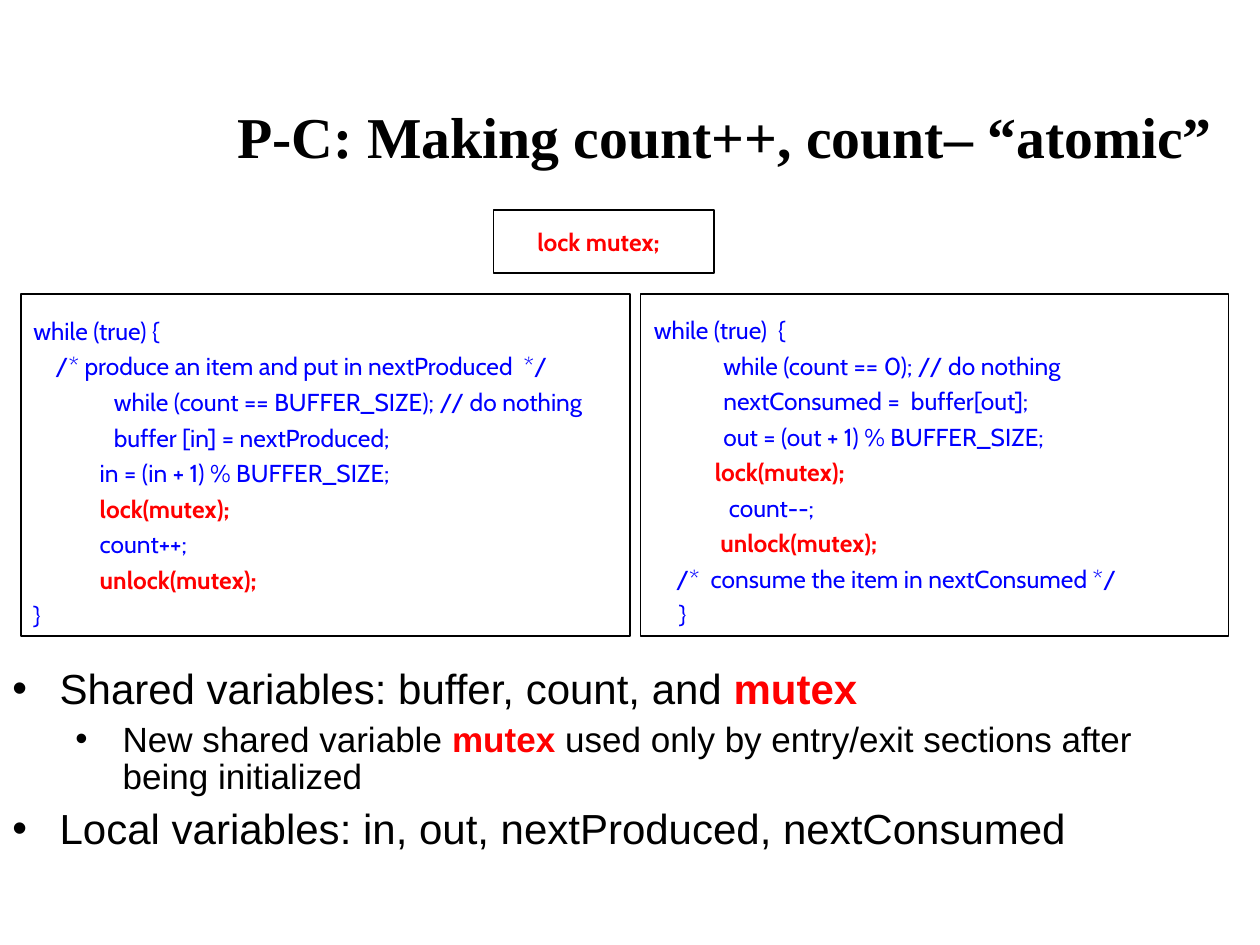
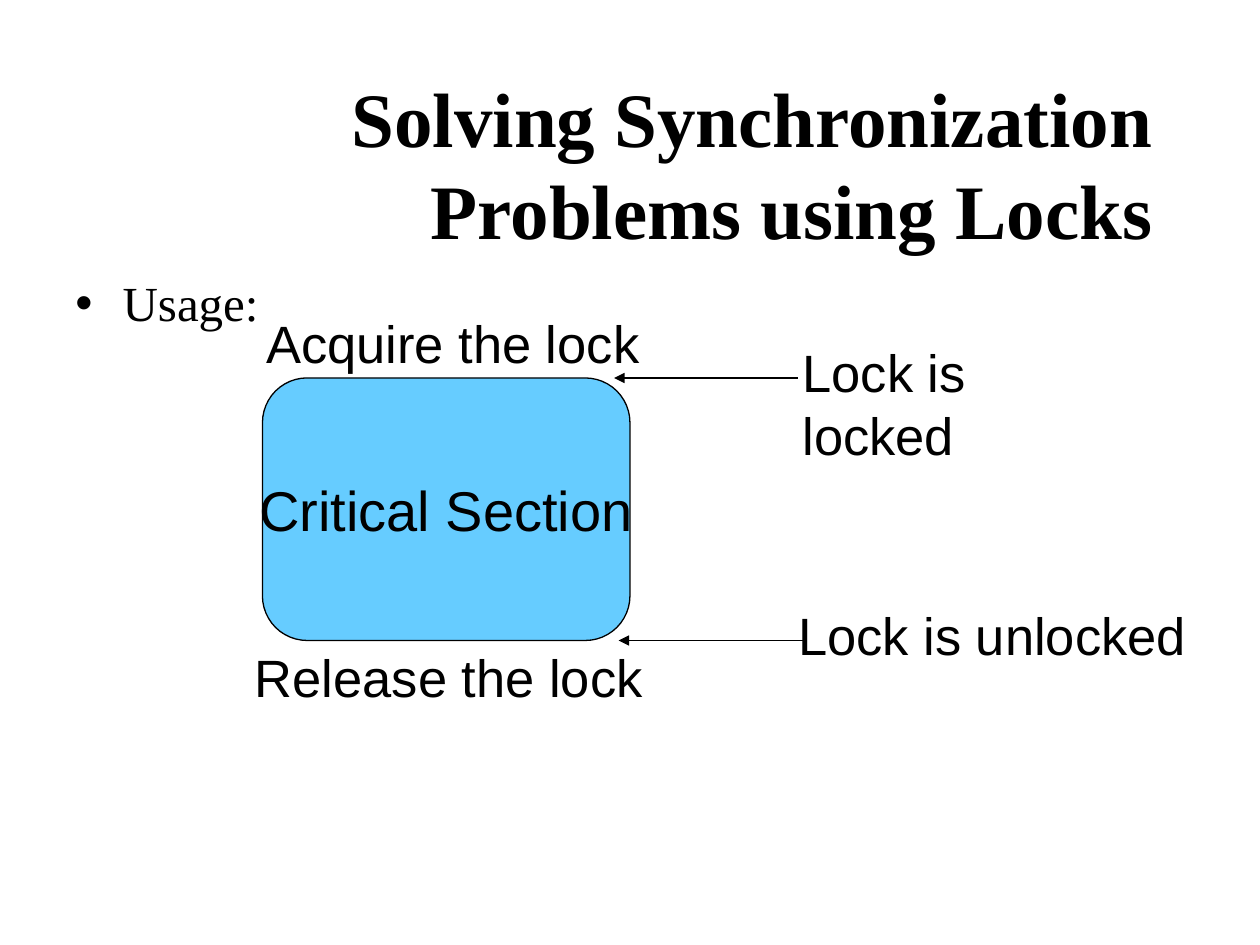
from typing import NamedTuple

from lxml import etree
from pptx import Presentation
from pptx import util as u
from pptx.dml.color import RGBColor
from pptx.enum import shapes, text
from pptx.oxml.ns import qn

BLACK = RGBColor(0x00, 0x00, 0x00)
BLUE = RGBColor(0x00, 0x00, 0xFF)
RED = RGBColor(0xFF, 0x00, 0x00)
SKY = RGBColor(0x66, 0xCC, 0xFF)

SERIF, SANS, CODE = "Times New Roman", "Arial", "Cabin"
HANGING = 27


class Box(NamedTuple):
    left: float
    top: float
    width: float
    height: float

    def lengths(self) -> list:
        return [u.Pt(value) for value in self]


class Span(NamedTuple):
    words: str
    size: float
    font: str
    color: RGBColor = BLACK
    bold: bool = False


class Line(NamedTuple):
    spans: list
    margin: float = 0
    hanging: float = 0
    before: float = 0
    spacing: float = 1.0
    bullet: bool = False
    align: text.PP_ALIGN = text.PP_ALIGN.LEFT


class Label(NamedTuple):
    words: str
    box: Box


def write(frame, lines: list[Line], wrap: bool = True,
          anchor: text.MSO_ANCHOR = text.MSO_ANCHOR.TOP) -> None:
    """Fill a text frame line by line, run by run."""
    frame.word_wrap = wrap
    frame.vertical_anchor = anchor
    for index, line in enumerate(lines):
        paragraph = frame.paragraphs[0] if index == 0 else frame.add_paragraph()
        properties = paragraph._p.get_or_add_pPr()
        properties.set("marL", str(u.Pt(line.margin)))
        properties.set("indent", str(u.Pt(-line.hanging)))
        if line.bullet:
            color = etree.SubElement(properties, qn("a:buClr"))
            etree.SubElement(color, qn("a:srgbClr"), val=str(BLACK))
            etree.SubElement(properties, qn("a:buFont"), typeface=SANS)
            etree.SubElement(properties, qn("a:buChar"), char="•")
        paragraph.alignment = line.align
        paragraph.line_spacing = line.spacing
        paragraph.space_before = u.Pt(line.before if index else 0)
        for span in line.spans:
            run = paragraph.add_run()
            run.text = span.words
            run.font.size = u.Pt(span.size)
            run.font.name = span.font
            run.font.bold = span.bold
            run.font.color.rgb = span.color


def add_text(slide, box: Box, lines: list[Line], wrap: bool = True,
             anchor: text.MSO_ANCHOR = text.MSO_ANCHOR.TOP) -> None:
    write(slide.shapes.add_textbox(*box.lengths()).text_frame, lines, wrap, anchor)


def add_title(slide, box: Box, words: str, size: float) -> None:
    title = Line([Span(words, size, SERIF, bold=True)], align=text.PP_ALIGN.RIGHT)
    add_text(slide, box, [title], anchor=text.MSO_ANCHOR.MIDDLE)


def add_outline(slide, box: Box, kind=shapes.MSO_SHAPE.RECTANGLE,
                fill: RGBColor | None = None):
    outline = slide.shapes.add_shape(kind, *box.lengths())
    outline.shadow.inherit = False
    outline.line.color.rgb = BLACK
    outline.line.width = u.Pt(0.75)
    if fill is None:
        outline.fill.background()
    else:
        outline.fill.solid()
        outline.fill.fore_color.rgb = fill
    return outline


def add_arrow(slide, start: float, end: float, y: float) -> None:
    arrow = slide.shapes.add_connector(
        shapes.MSO_CONNECTOR.STRAIGHT, u.Pt(start), u.Pt(y), u.Pt(end), u.Pt(y))
    arrow.line.color.rgb = BLACK
    arrow.line.width = u.Pt(0.75)
    etree.SubElement(arrow.line._get_or_add_ln(), qn("a:tailEnd"), type="triangle")
    etree.SubElement(arrow._element.spPr, qn("a:effectLst"))


def code_lines(source: list[str]) -> list[Line]:
    """Blue code, with the calls and declarations of the lock in bold red."""
    lines = []
    for row in source:
        statement = row.lstrip()
        lead = row[:len(row) - len(statement)]
        if "mutex" in statement:
            spans = [Span(statement, 14, CODE, RED, True)]
            if lead:
                spans.insert(0, Span(lead, 14, CODE, BLUE))
        else:
            spans = [Span(row, 14, CODE, BLUE)]
        lines.append(Line(spans, HANGING, HANGING, 3.5))
    return lines


def bullet(spans: list[Span], margin: float, before: float) -> Line:
    return Line(spans, margin, HANGING, before, 0.9, True)


PRODUCER = [
    "while (true) {",
    "    /* produce an item and put in nextProduced  */",
    "\t      while (count == BUFFER_SIZE); // do nothing",
    "\t      buffer [in] = nextProduced;",
    "            in = (in + 1) % BUFFER_SIZE;",
    "            lock(mutex);",
    "            count++;",
    "            unlock(mutex);",
    "}",
]
CONSUMER = [
    "    while (true)  {",
    "\t        while (count == 0); // do nothing",
    "\t        nextConsumed =  buffer[out];",
    "\t        out = (out + 1) % BUFFER_SIZE;",
    "               lock(mutex);",
    "\t         count--;",
    "                unlock(mutex);",
    "        /*  consume the item in nextConsumed */",
    "\t}",
]


def build_atomic_count(slide) -> None:
    add_title(slide, Box(48, 52, 652, 51), "P-C: Making count++, count– “atomic”", 33)

    # Producer and consumer code, with their frames
    add_text(slide, Box(12, 177, 394, 231), code_lines(PRODUCER))
    add_text(slide, Box(354, 176.5, 385, 231), code_lines(CONSUMER))
    for frame in (Box(12, 168, 348, 195.5), Box(366, 168, 336, 195.5)):
        add_outline(slide, frame)

    # Which variables are shared and which are local
    variables = [
        bullet([Span("Shared variables: buffer, count, and ", 24, SANS),
                Span("mutex", 24, SANS, RED, True)], 27, 6),
        bullet([Span("New shared variable ", 20, SANS),
                Span("mutex", 20, SANS, RED, True),
                Span(" used only by entry/exit sections after being initialized",
                     20, SANS)], 63, 5),
        bullet([Span("Local variables: in, out, nextProduced, nextConsumed",
                     24, SANS)], 27, 6),
    ]
    add_text(slide, Box(0, 378, 708, 96), variables)

    # Declaration of the lock
    add_outline(slide, Box(282, 120, 126, 36))
    add_text(slide, Box(300, 126, 108, 30), code_lines(["lock mutex;"]))


def build_lock_usage(slide) -> None:
    add_title(slide, Box(150, 48, 516, 90),
              "Solving Synchronization Problems using Locks", 44)
    add_text(slide, Box(36, 156, 642, 390),
             [bullet([Span("Usage:", 28, SERIF)], 27, 7)])

    # Critical section
    section = Box(150, 216, 210, 150)
    critical = add_outline(slide, section, shapes.MSO_SHAPE.ROUNDED_RECTANGLE, SKY)
    critical.adjustments[0] = 0.17
    write(critical.text_frame,
          [Line([Span("Critical Section", 32, SANS)], align=text.PP_ALIGN.CENTER)],
          wrap=False, anchor=text.MSO_ANCHOR.MIDDLE)

    # Moments at which the state of the lock changes
    add_arrow(slide, 456, 351, section.top)
    add_arrow(slide, 459, 353.5, section.top + section.height)
    for label in (
        Label("Lock is locked", Box(451.5, 191, 202, 43)),
        Label("Lock is unlocked", Box(449, 341, 236, 43)),
        Label("Acquire the lock", Box(145, 174, 228, 43)),
        Label("Release the lock", Box(138.5, 365, 236, 43)),
    ):
        add_text(slide, label.box, [Line([Span(label.words, 30, SANS)])], wrap=False)


def main() -> None:
    deck = Presentation()
    deck.slide_width, deck.slide_height = u.Pt(720), u.Pt(540)
    blank = deck.slide_layouts[6]
    for build in (build_atomic_count, build_lock_usage):
        build(deck.slides.add_slide(blank))
    deck.save("out.pptx")


if __name__ == "__main__":
    main()
